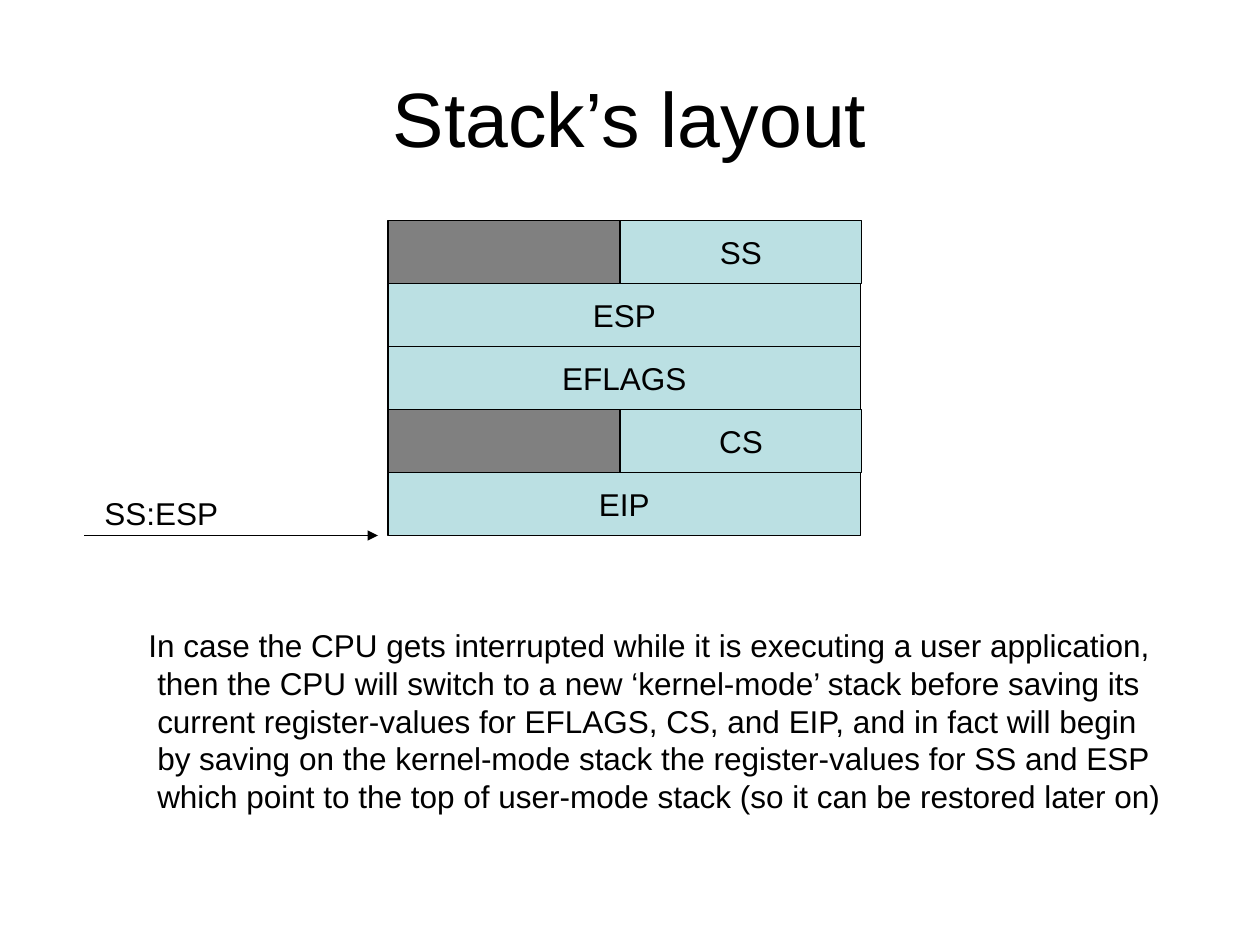
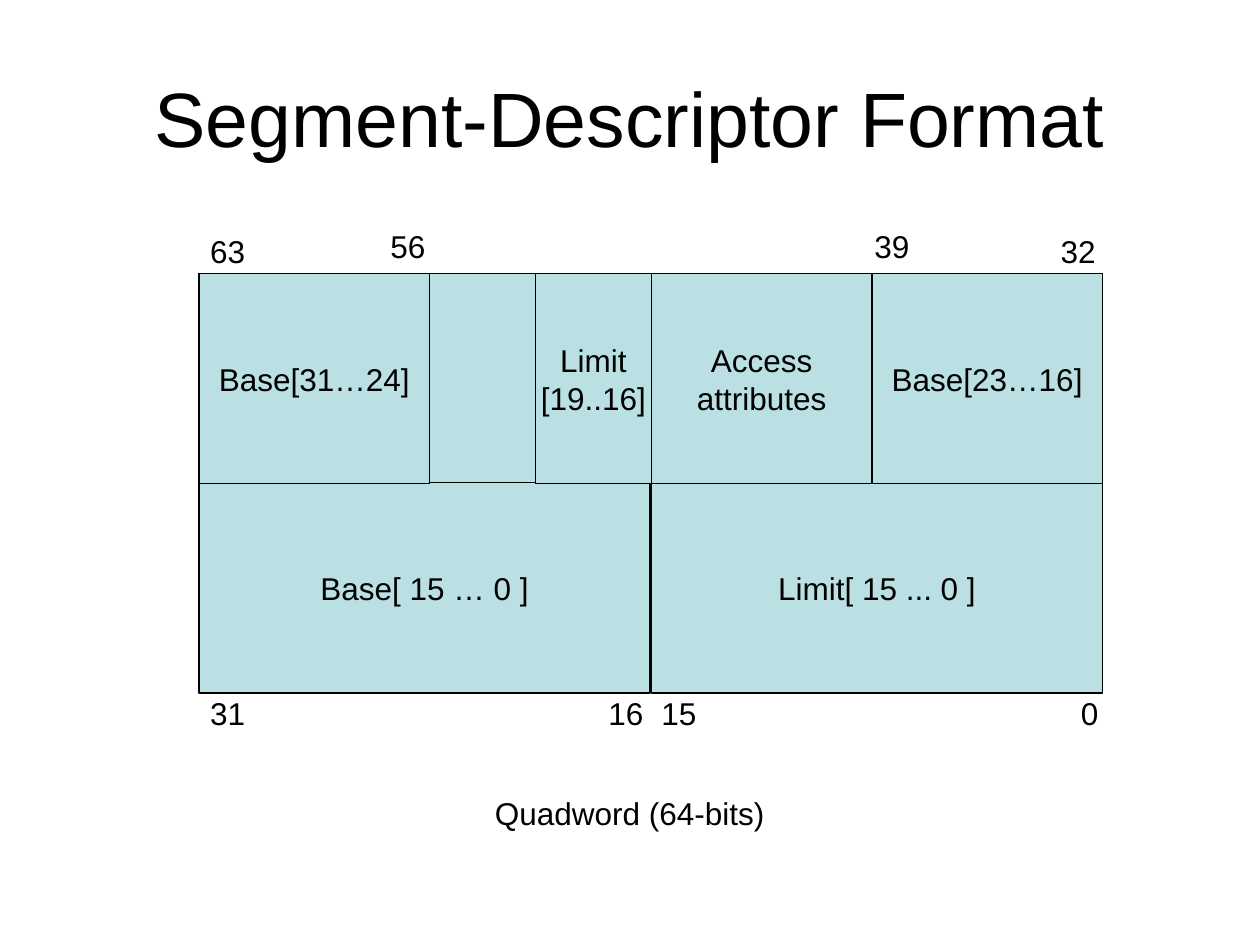
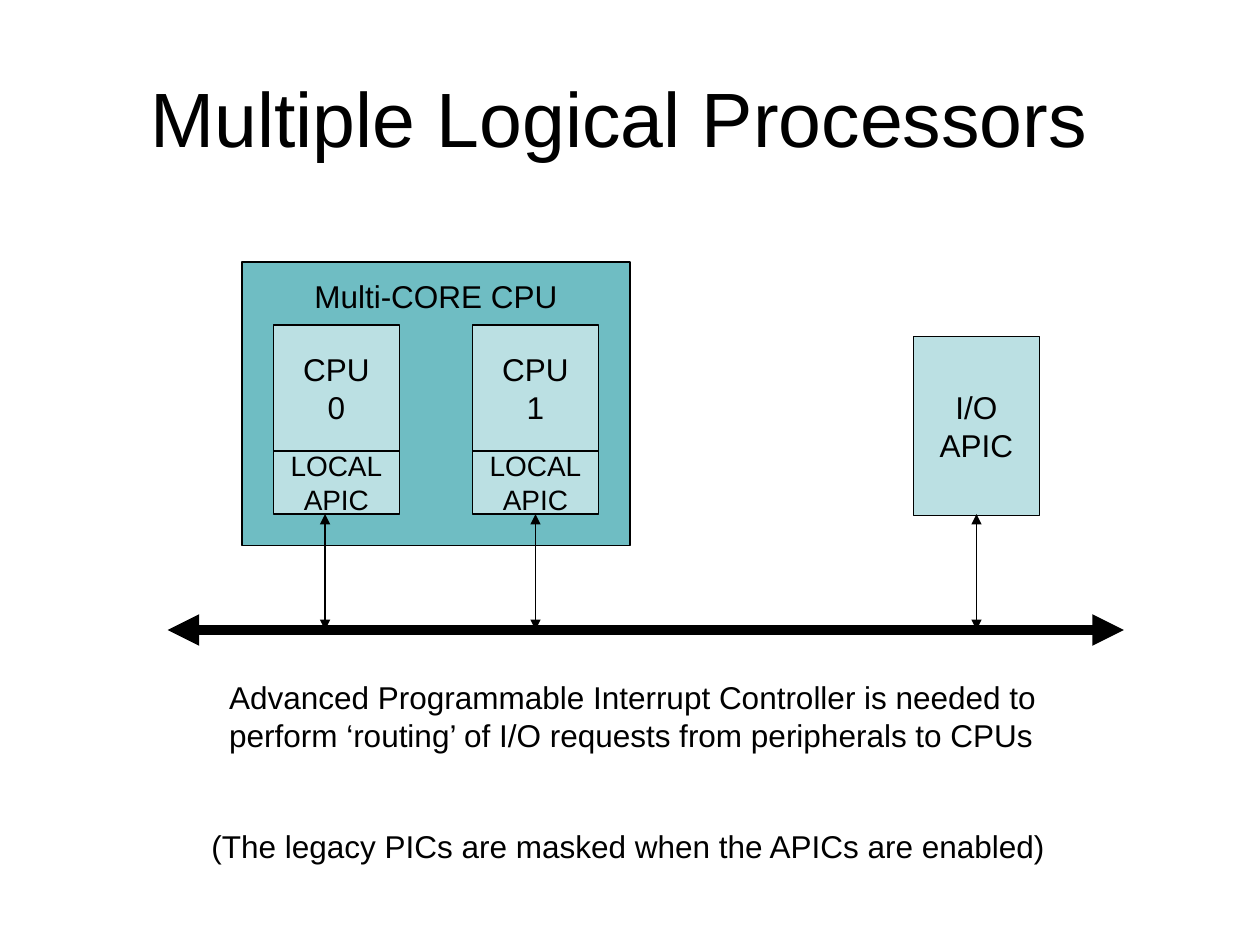
import lxml.etree
import pptx
import pptx.util
import pptx.dml.color
import pptx.enum.shapes
import pptx.enum.text
import pptx.oxml.ns

Inches = pptx.util.Inches
Pt = pptx.util.Pt
RGBColor = pptx.dml.color.RGBColor
Align = pptx.enum.text.PP_ALIGN
Anchor = pptx.enum.text.MSO_ANCHOR
qn = pptx.oxml.ns.qn

BLACK = RGBColor(0x00, 0x00, 0x00)
GREY = RGBColor(0x80, 0x80, 0x80)
PALE = RGBColor(0xBB, 0xE0, 0xE3)
TEAL = RGBColor(0x6F, 0xBD, 0xC3)
FONT = "Arial"
THIN = 0.75


def box(slide, at, text="", fill=None, size=18, align=Align.CENTER):
    """Add a filled, outlined rectangle, or a plain text box if there is no fill."""
    place = [Inches(n) for n in at]
    if fill is None:
        item = slide.shapes.add_textbox(*place)
    else:
        item = slide.shapes.add_shape(pptx.enum.shapes.MSO_SHAPE.RECTANGLE, *place)
        item.shadow.inherit = False
        item.fill.solid()
        item.fill.fore_color.rgb = fill
        item.line.color.rgb = BLACK
        item.line.width = Pt(THIN)
    frame = item.text_frame
    frame.word_wrap = False
    frame.vertical_anchor = Anchor.TOP if fill is None else Anchor.MIDDLE
    frame.text = text
    for para in frame.paragraphs:
        para.alignment = align
        para.font.name = FONT
        para.font.size = Pt(size)
        para.font.color.rgb = BLACK
    return item


def arrow(slide, start, end, width=THIN, ends=("headEnd", "tailEnd")):
    item = slide.shapes.add_connector(
        pptx.enum.shapes.MSO_CONNECTOR.STRAIGHT, *[Inches(n) for n in start + end])
    item.line.color.rgb = BLACK
    item.line.width = Pt(width)
    props = item._element.spPr
    for tag in ends:
        lxml.etree.SubElement(props.find(qn("a:ln")), qn("a:" + tag), type="triangle")
    lxml.etree.SubElement(props, qn("a:effectLst"))


deck = pptx.Presentation()
deck.slide_width = Inches(10)
deck.slide_height = Inches(7.5)

slides = []
for text in ("Stack’s layout", "Segment-Descriptor Format", "Multiple Logical Processors "):
    slide = deck.slides.add_slide(deck.slide_layouts[6])
    title = box(slide, (0.5, 0.3, 9, 1.25), text, size=44)
    title.text_frame.word_wrap = True
    title.text_frame.vertical_anchor = Anchor.MIDDLE
    slides.append(slide)
stack, format, cores = slides

# Stack frame: 16-bit registers fill only the right half of their row
left, top, high = 3.08, 1.75, 0.5
for row, name in enumerate(("SS", "ESP", "EFLAGS", "CS", "EIP")):
    y = top + row * high
    if name in ("SS", "CS"):
        box(stack, (left, y, 3.75, high), fill=GREY)
        box(stack, (4.92, y, 1.92, high), name, PALE)
    else:
        box(stack, (left, y, 3.75, high), name, PALE)

arrow(stack, (0.67, 4.25), (3, 4.25), ends=("tailEnd",))
box(stack, (0.73, 3.87, 1.1, 0.4), "SS:ESP", align=Align.LEFT)
note = box(
    stack, (1.08, 4.92, 8.23, 1.6),
    "In case the CPU gets interrupted while it is executing a user application,\n"
    "then the CPU will switch to a new ‘kernel-mode’ stack before saving its\n"
    "current register-values for EFLAGS, CS, and EIP, and in fact will begin\n"
    "by saving on the kernel-mode stack the register-values for SS and ESP\n"
    "which point to the top of user-mode stack (so it can be restored later on)",
    align=Align.LEFT)
for para in note.text_frame.paragraphs[1:]:
    para._p.get_or_add_pPr().set("marL", str(Inches(0.07)))

# Descriptor: high doubleword above, low doubleword below
high = 1.67
fields = (
    (1.58, 2.17, 3.58, ""),
    (5.17, 3.83, 3.58, "Limit[ 15 ... 0 ]"),
    (1.58, 3.83, 3.58, "Base[ 15 … 0 ]"),
    (1.58, 2.17, 1.83, "Base[31…24]"),
    (4.25, 2.17, 0.92, "Limit\n[19..16]"),
    (5.17, 2.17, 1.75, "Access\nattributes"),
    (6.92, 2.17, 1.83, "Base[23…16]"),
)
for x, y, wide, text in fields:
    box(format, (x, y, wide, high), text, PALE)

bits = (
    (1.57, 1.79, "63"), (3, 1.75, "56"), (6.84, 1.75, "39"), (8.32, 1.79, "32"),
    (1.57, 5.46, "31"), (4.73, 5.46, "16"), (5.15, 5.46, "15"), (8.48, 5.46, "0"),
)
for x, y, text in bits:
    box(format, (x, y, 0.2 + 0.14 * len(text), 0.4), text, align=Align.LEFT)
box(format, (3.83, 6.25, 2.34, 0.4), "Quadword (64-bits)", align=Align.LEFT)

# Processors and their interrupt controllers on a shared bus
chip = box(cores, (1.92, 2.08, 3.08, 2.25), "Multi-CORE CPU", TEAL)
chip.text_frame.vertical_anchor = Anchor.TOP
chip.text_frame.margin_top = Inches(0.12)
for core, x in enumerate((2.17, 3.75)):
    box(cores, (x, 2.58, 1, 1), f"CPU\n{core}", PALE)
    box(cores, (x, 3.58, 1, 0.5), "LOCAL\nAPIC", PALE, size=16)
box(cores, (7.25, 2.67, 1, 1.42), "I/O\nAPIC", PALE)

bus = 5
arrow(cores, (1.33, bus), (8.92, bus), width=6)
for x in (2.58, 4.25, 7.75):
    arrow(cores, (x, 4.08), (x, bus))

note = box(
    cores, (1.58, 5.33, 6.83, 1.6),
    "Advanced Programmable Interrupt Controller is needed to\n"
    "perform ‘routing’ of I/O requests from peripherals to CPUs\n"
    "(The legacy PICs are masked when the APICs are enabled)",
    align=Align.LEFT)
paras = note.text_frame.paragraphs
for para in paras[:2]:
    para._p.get_or_add_pPr().set("marL", str(Inches(0.14)))
paras[2].space_before = Pt(42)

deck.save("out.pptx")
